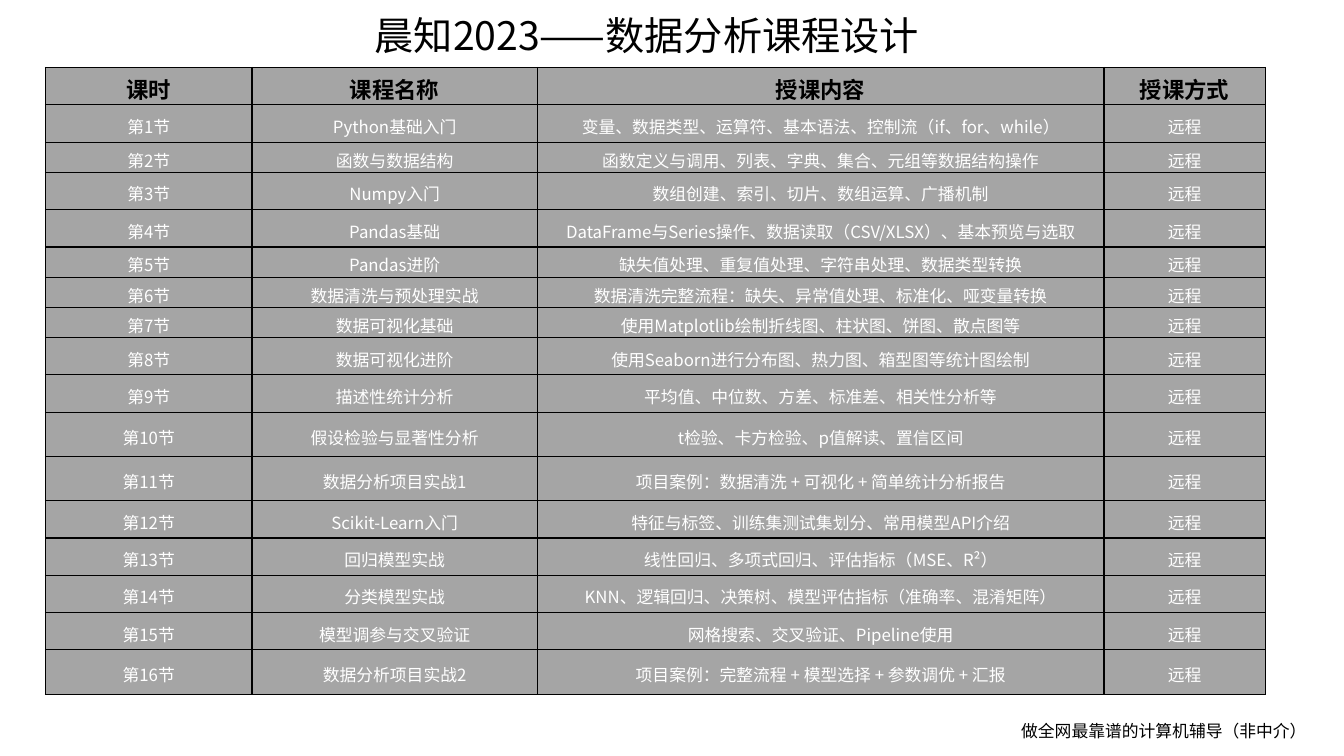
from lxml import etree
from pptx import Presentation
from pptx.dml.color import RGBColor
from pptx.enum.text import MSO_ANCHOR, MSO_AUTO_SIZE, PP_ALIGN
from pptx.oxml.ns import qn
from pptx.util import Inches, Pt

TITLE = "晨知2023——数据分析课程设计"
FOOTER = "做全网最靠谱的计算机辅导（非中介）"
HEADINGS = ("课时", "课程名称", "授课内容", "授课方式")
DELIVERY = "远程"
SHORT, NORMAL, TALL = 0.3, 0.37, 0.44
LESSONS = [  # course name, content, row height
    ("Python基础入门", "变量、数据类型、运算符、基本语法、控制流（if、for、while）", NORMAL),
    ("函数与数据结构", "函数定义与调用、列表、字典、集合、元组等数据结构操作", SHORT),
    ("Numpy入门", "数组创建、索引、切片、数组运算、广播机制", NORMAL),
    ("Pandas基础", "DataFrame与Series操作、数据读取（CSV/XLSX）、基本预览与选取", NORMAL),
    ("Pandas进阶", "缺失值处理、重复值处理、字符串处理、数据类型转换", SHORT),
    ("数据清洗与预处理实战", "数据清洗完整流程：缺失、异常值处理、标准化、哑变量转换", SHORT),
    ("数据可视化基础", "使用Matplotlib绘制折线图、柱状图、饼图、散点图等", SHORT),
    ("数据可视化进阶", "使用Seaborn进行分布图、热力图、箱型图等统计图绘制", NORMAL),
    ("描述性统计分析", "平均值、中位数、方差、标准差、相关性分析等", NORMAL),
    ("假设检验与显著性分析", "t检验、卡方检验、p值解读、置信区间", TALL),
    ("数据分析项目实战1", "项目案例：数据清洗 + 可视化 + 简单统计分析报告", TALL),
    ("Scikit-Learn入门", "特征与标签、训练集测试集划分、常用模型API介绍", NORMAL),
    ("回归模型实战", "线性回归、多项式回归、评估指标（MSE、R²）", NORMAL),
    ("分类模型实战", "KNN、逻辑回归、决策树、模型评估指标（准确率、混淆矩阵）", NORMAL),
    ("模型调参与交叉验证", "网格搜索、交叉验证、Pipeline使用", NORMAL),
    ("数据分析项目实战2", "项目案例：完整流程 + 模型选择 + 参数调优 + 汇报", TALL),
]
COLUMN_WIDTHS = (2.05, 2.83, 5.62, 1.6)

FONT = "Noto Sans CJK SC"
BLACK = RGBColor(0x00, 0x00, 0x00)
WHITE = RGBColor(0xFF, 0xFF, 0xFF)
GREY = RGBColor(0xA5, 0xA5, 0xA5)
CENTER, LEFT = PP_ALIGN.CENTER, PP_ALIGN.LEFT
MIDDLE, TOP = MSO_ANCHOR.MIDDLE, MSO_ANCHOR.TOP
NO_AUTOFIT = MSO_AUTO_SIZE.NONE


def write(frame, text, size=12, color=BLACK, bold=False, align=CENTER):
    """Put one formatted paragraph into a text frame."""
    paragraph = frame.paragraphs[0]
    paragraph.alignment = align
    run = paragraph.add_run()
    run.text = text
    font = run.font
    font.name, font.size, font.bold = FONT, Pt(size), bold
    font.color.rgb = color
    east_asian = etree.SubElement(font._element, qn("a:ea"))
    east_asian.set("typeface", FONT)


def add_borders(cell):
    """Draw a thin black line on all four sides of a cell."""
    properties = cell._tc.get_or_add_tcPr()
    for position, side in enumerate(("lnL", "lnR", "lnT", "lnB")):
        line = etree.Element(qn(f"a:{side}"), w=str(Pt(1)))
        fill = etree.SubElement(line, qn("a:solidFill"))
        etree.SubElement(fill, qn("a:srgbClr"), val=str(BLACK))
        properties.insert(position, line)


def fill_cell(cell, text, **text_format):
    """Format one timetable cell and write its text."""
    cell.fill.solid()
    cell.fill.fore_color.rgb = GREY
    cell.vertical_anchor = MIDDLE
    cell.margin_left = cell.margin_right = cell.margin_top = Inches(0.05)
    cell.margin_bottom = 0
    add_borders(cell)
    write(cell.text_frame, text, **text_format)


def add_timetable(slide):
    """Add the table of headings and numbered lessons."""
    rows = [HEADINGS] + [
        (f"第{number}节", name, content, DELIVERY)
        for number, (name, content, _) in enumerate(LESSONS, 1)
    ]
    heights = [NORMAL] + [height for _, _, height in LESSONS]
    table = slide.shapes.add_table(
        len(rows), len(HEADINGS), Inches(0.45), Inches(0.67),
        Inches(sum(COLUMN_WIDTHS)), Inches(sum(heights))).table
    for column, width in zip(table.columns, COLUMN_WIDTHS):
        column.width = Inches(width)
    for r, (texts, height) in enumerate(zip(rows, heights)):
        table.rows[r].height = Inches(height)
        text_format = {"color": WHITE} if r else {"size": 16, "bold": True}
        for c, text in enumerate(texts):
            fill_cell(table.cell(r, c), text, **text_format)


presentation = Presentation()
presentation.slide_width, presentation.slide_height = Inches(13.33), Inches(7.5)
slide = presentation.slides.add_slide(presentation.slide_layouts[5])

title = slide.shapes.title
title.left, title.top = Inches(2.61), Inches(0.06)
title.width, title.height = Inches(7.61), Inches(0.57)
title.text_frame.auto_size = NO_AUTOFIT
title.text_frame.vertical_anchor = TOP
write(title.text_frame, TITLE, size=28)

add_timetable(slide)

footer = slide.shapes.add_textbox(Inches(10.03), Inches(7.1), Inches(3.2), Inches(0.3))
footer.text_frame.word_wrap = True
write(footer.text_frame, FOOTER, align=LEFT)

presentation.save("out.pptx")
